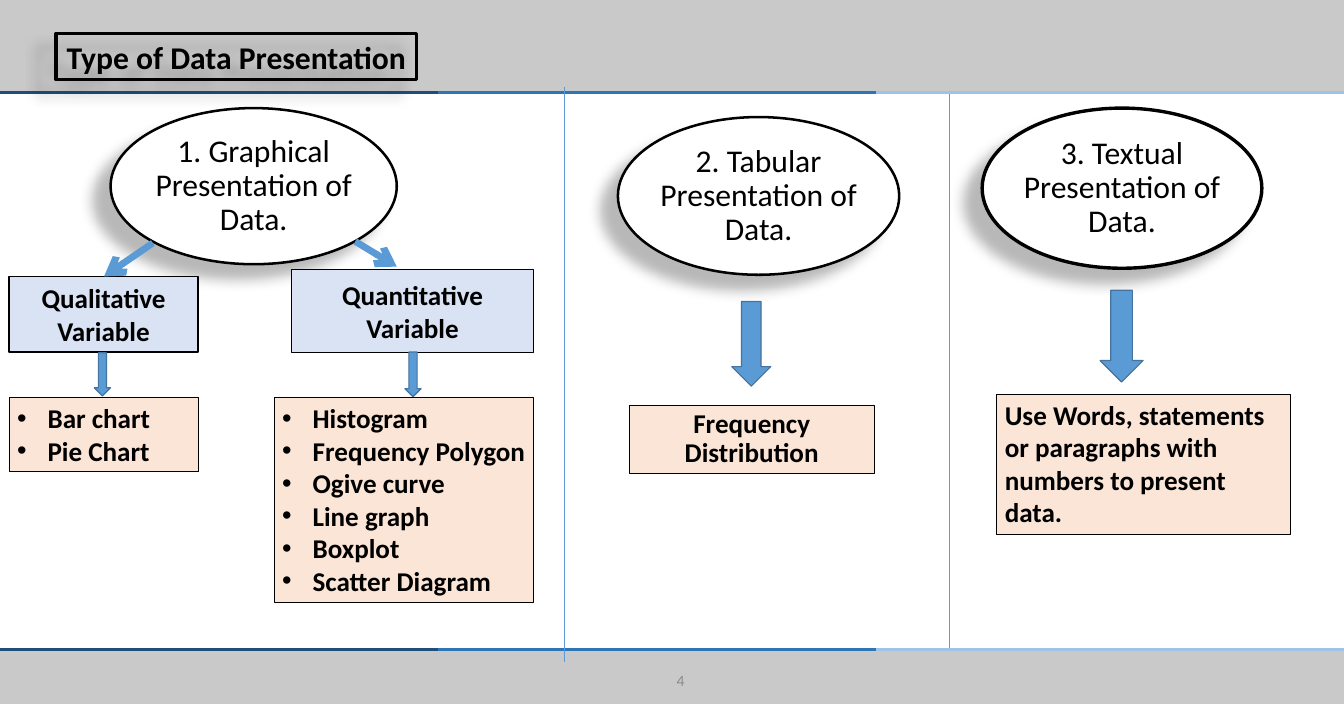
from dataclasses import dataclass
from typing import Any, Optional

from lxml.etree import SubElement
from pptx import Presentation
from pptx.dml.color import RGBColor
from pptx.enum.shapes import MSO_CONNECTOR, MSO_SHAPE
from pptx.enum.text import MSO_ANCHOR, MSO_AUTO_SIZE, PP_ALIGN
from pptx.oxml.ns import qn
from pptx.util import Inches, Pt

BLACK = RGBColor(0, 0, 0)
WHITE = RGBColor(255, 255, 255)
GRAY = RGBColor(0xC9, 0xC9, 0xC9)
NUMBER_GRAY = RGBColor(0x8C, 0x8C, 0x8C)
BLUE = RGBColor(0x5B, 0x9B, 0xD5)
BLUE_EDGE = RGBColor(0x43, 0x73, 0x9E)
PALE_BLUE = RGBColor(0xDA, 0xE3, 0xF3)
PEACH = RGBColor(0xFB, 0xE5, 0xD6)
DARK_RULE = RGBColor(0x1F, 0x4E, 0x79)
MID_RULE = RGBColor(0x2E, 0x75, 0xB6)
LIGHT_RULE = RGBColor(0x9D, 0xC3, 0xE6)

WIDTH, HEIGHT = 16.53, 8.66
Box = tuple[float, float, float, float]


@dataclass
class Block:
    box: Box
    fill: Optional[RGBColor]
    edge: Optional[RGBColor] = BLACK
    weight: float = 0.75
    text: str = ""
    kind: MSO_SHAPE = MSO_SHAPE.RECTANGLE
    size: float = 24
    bold: bool = True
    align: PP_ALIGN = PP_ALIGN.CENTER
    anchor: MSO_ANCHOR = MSO_ANCHOR.MIDDLE
    spacing: float = 1.0
    margin: Optional[float] = None
    shadow: bool = False
    wrap: bool = True
    color: RGBColor = BLACK


@dataclass
class Line:
    start: tuple[float, float]
    end: tuple[float, float]
    color: RGBColor = BLUE
    weight: float = 0.5
    arrow: bool = False


def set_all(target: Any, values: dict[str, Any]) -> None:
    for name, value in values.items():
        setattr(target, name, value)


def place(sp: Any, box: Box) -> None:
    set_all(sp, dict(zip(("left", "top", "width", "height"), map(Inches, box))))


def cast_shadow(sp: Any) -> None:
    effects = sp.element.spPr.find(qn("a:effectLst"))
    outer = SubElement(effects, qn("a:outerShdw"), blurRad=str(Pt(11.8)),
                       dist=str(Pt(19.7)), dir=str(141 * 60000),
                       algn="tr", rotWithShape="0")
    color = SubElement(outer, qn("a:srgbClr"), val="000000")
    SubElement(color, qn("a:alpha"), val="28000")


def write(sp: Any, block: Block) -> None:
    tf = sp.text_frame
    set_all(tf, {"auto_size": MSO_AUTO_SIZE.NONE, "word_wrap": block.wrap,
                 "vertical_anchor": block.anchor})
    if block.margin is not None:
        margin = Inches(block.margin)
        set_all(tf, {"margin_left": margin, "margin_right": margin,
                     "margin_top": margin, "margin_bottom": margin})
    for i, text in enumerate(block.text.split("\n")):
        p = tf.paragraphs[0] if i == 0 else tf.add_paragraph()
        set_all(p, {"alignment": block.align, "line_spacing": block.spacing,
                    "space_before": Pt(0)})
        r = p.add_run()
        r.text = text
        set_all(r.font, {"name": "Calibri", "size": Pt(block.size), "bold": block.bold})
        r.font.color.rgb = block.color


def style(sp: Any, block: Block) -> None:
    sp.shadow.inherit = False
    if block.fill is None:
        sp.fill.background()
    else:
        sp.fill.solid()
        sp.fill.fore_color.rgb = block.fill
    if block.edge is None:
        sp.line.fill.background()
    else:
        sp.line.color.rgb = block.edge
        sp.line.width = Pt(block.weight)
    if block.shadow:
        cast_shadow(sp)
    if block.text:
        write(sp, block)


def add_block(s: Any, block: Block) -> None:
    style(s.shapes.add_shape(block.kind, *map(Inches, block.box)), block)


def fill_placeholder(sp: Any, block: Block) -> None:
    place(sp, block.box)
    style(sp, block)
    sp.element.getparent().append(sp.element)


def add_line(s: Any, line: Line) -> None:
    sp = s.shapes.add_connector(MSO_CONNECTOR.STRAIGHT,
                                *map(Inches, line.start + line.end))
    sp.line.color.rgb = line.color
    sp.line.width = Pt(line.weight)
    if line.arrow:
        SubElement(sp.element.spPr.find(qn("a:ln")), qn("a:tailEnd"), type="arrow")
    SubElement(sp.element.spPr, qn("a:effectLst"))


def oval(box: Box, text: str, weight: float = 2.25) -> Block:
    return Block(box, WHITE, weight=weight, text=text, kind=MSO_SHAPE.OVAL, size=28,
                 bold=False, spacing=0.9, margin=0, shadow=True)


def down_arrow(box: Box) -> Block:
    return Block(box, BLUE, BLUE_EDGE, 1, kind=MSO_SHAPE.DOWN_ARROW)


def bullet_list(box: Box, *items: str) -> Block:
    return Block(box, PEACH, text="\n".join(items), align=PP_ALIGN.LEFT,
                 anchor=MSO_ANCHOR.TOP)


BANDS = [Block((0, 8, WIDTH, 0.66), GRAY, None), Block((0, 0, WIDTH, 1.14), GRAY, None)]
RULES = [Line((x1, y), (x2, y), color, 3)
         for y in (1.14, 7.99)
         for x1, x2, color in ((0, 5.39, DARK_RULE), (5.39, 11.15, MID_RULE),
                               (10.78, WIDTH, LIGHT_RULE))]
DIVIDERS = [Line((6.94, 1.07), (6.94, 8.14)), Line((11.67, 1.16), (11.67, 7.97))]
TITLE = Block((0.69, 0.41, 4.43, 0.57), None, weight=3, text="Type of Data Presentation",
              size=28, anchor=MSO_ANCHOR.TOP, shadow=True, wrap=False)
CONTENT = [
    oval((12.08, 1.33, 3.44, 1.97), "3. Textual Presentation of Data.", 3),
    Block((12.26, 4.85, 3.61, 1.72), PEACH, align=PP_ALIGN.LEFT, anchor=MSO_ANCHOR.TOP,
          text="Use Words, statements or paragraphs with numbers to present data."),
    down_arrow((13.53, 3.57, 0.53, 1.13)),
    oval((7.6, 1.44, 3.46, 1.94), "2. Tabular Presentation of Data."),
    down_arrow((9, 3.71, 0.48, 1.04)),
    Block((7.74, 4.99, 3.01, 0.83), PEACH, text="Frequency Distribution",
          anchor=MSO_ANCHOR.TOP, spacing=0.9),
    oval((1.36, 1.33, 3.52, 1.92), "1. Graphical Presentation of Data."),
    Block((0.11, 3.4, 2.33, 0.93), PALE_BLUE, weight=1.5, text="Qualitative Variable"),
    Block((3.59, 3.32, 2.97, 1.02), PALE_BLUE, weight=1, text="Quantitative Variable"),
    down_arrow((4.98, 4.33, 0.2, 0.55)),
    down_arrow((1.16, 4.34, 0.2, 0.53)),
    Block((6.51, 8.14, 3.72, 0.46), None, None, text="4", size=13.9, bold=False,
          color=NUMBER_GRAY),
]
LISTS = [
    bullet_list((0.11, 4.89, 2.33, 0.91), "Bar chart", "Pie Chart"),
    bullet_list((3.37, 4.89, 3.19, 2.52), "Histogram", "Frequency Polygon", "Ogive curve",
                "Line graph", "Boxplot", "Scatter Diagram"),
]
BRANCHES = [Line((1.88, 2.99), (1.28, 3.4), weight=6, arrow=True),
            Line((4.37, 2.97), (4.88, 3.28), weight=6, arrow=True)]


def main() -> None:
    prs = Presentation()
    prs.slide_width, prs.slide_height = Inches(WIDTH), Inches(HEIGHT)
    s = prs.slides.add_slide(prs.slide_layouts[3])
    title, *bodies = list(s.placeholders)
    for band in BANDS:
        add_block(s, band)
    for line in RULES:
        add_line(s, line)
    fill_placeholder(title, TITLE)
    for line in DIVIDERS:
        add_line(s, line)
    for block in CONTENT:
        add_block(s, block)
    for body, block in zip(bodies, LISTS):
        fill_placeholder(body, block)
    for line in BRANCHES:
        add_line(s, line)
    prs.save("out.pptx")


if __name__ == "__main__":
    main()
